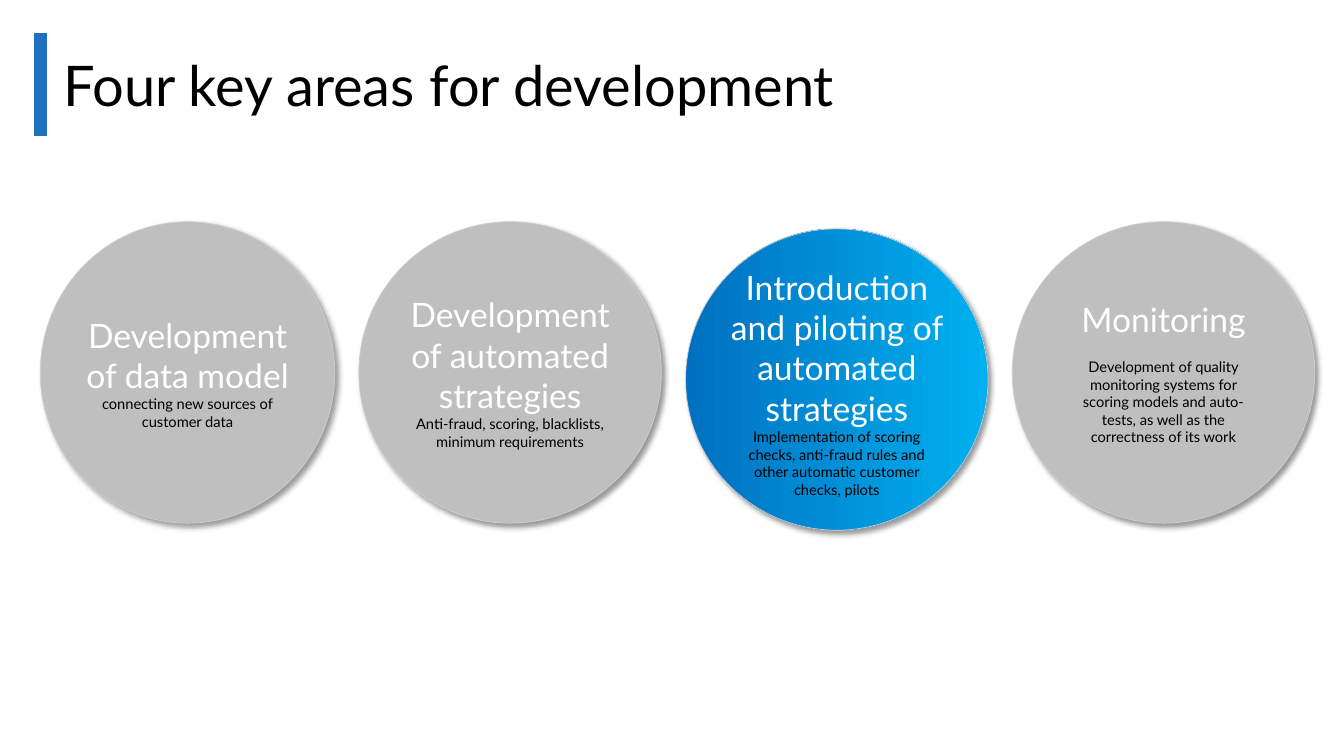
from lxml import etree
from pptx import Presentation
from pptx.dml.color import RGBColor
from pptx.enum.shapes import MSO_CONNECTOR, MSO_SHAPE
from pptx.enum.text import MSO_ANCHOR, PP_ALIGN
from pptx.oxml.ns import qn
from pptx.util import Inches, Pt

ELLIPSE = MSO_SHAPE.OVAL
STRAIGHT = MSO_CONNECTOR.STRAIGHT
MIDDLE = MSO_ANCHOR.MIDDLE
CENTER, LEFT = PP_ALIGN.CENTER, PP_ALIGN.LEFT

FONT = "Lato"
COLORS = {
    "black": "000000",
    "white": "FFFFFF",
    "accent": "2070C0",
    "circle": "BFBFBF",
    "outline": "D0CECE",
    "gradient_start": "0070C0",
    "gradient_end": "00B0F0",
}

# Grid of the four circles, in inches
GRID_LEFT, GRID_TOP = 0.32, 2.2
COLUMN_STEP = 3.24
CIRCLE_WIDTH, CIRCLE_HEIGHT = 3, 2.99

# Insets are left, top, right, bottom; trim narrows a circle from its left
AREAS = [
    {"heading": "Development of data model",
     "detail": "connecting new sources of customer data",
     "insets": (0, 0.05, 0, 0.05), "trim": 0.08},
    {"heading": "Development of automated strategies",
     "detail": "Anti-fraud, scoring, blacklists, minimum requirements",
     "insets": (0, 0.05, 0, 0.05)},
    {"heading": "Introduction and piloting of automated strategies",
     "detail": "Implementation of scoring checks, anti-fraud rules and "
               "other automatic customer checks, pilots",
     "insets": (0, 0.24, 0, 0.18), "drop": 0.07, "highlight": True},
    {"heading": "Monitoring",
     "detail": "Development of quality monitoring systems for scoring models "
               "and auto-tests, as well as the correctness of its work",
     "insets": (0.1, 0.05, 0.1, 0.05), "gap": 13.2},
]


def color(name):
    return RGBColor.from_string(COLORS[name])


def write(paragraph, text, size, ink="black", align=LEFT, gap=None):
    """Put one formatted run into a paragraph."""
    paragraph.alignment = align
    if gap:
        paragraph.space_before = Pt(gap)
    run = paragraph.add_run()
    run.text = text
    run.font.name = FONT
    run.font.size = Pt(size)
    run.font.color.rgb = color(ink)


def add_shadow(shape):
    """Give a shape a soft shadow towards the lower right."""
    shape.shadow.inherit = False
    effects = shape._element.spPr.find(qn("a:effectLst"))
    shadow = etree.SubElement(
        effects, qn("a:outerShdw"), blurRad=str(Pt(4)), dist=str(Pt(3)),
        dir=str(45 * 60000), algn="tl", rotWithShape="0")
    ink = etree.SubElement(shadow, qn("a:srgbClr"), val=COLORS["black"])
    etree.SubElement(ink, qn("a:alpha"), val="40000")


def add_title(slide, text):
    # Accent bar
    bar = slide.shapes.add_connector(
        STRAIGHT, Inches(0.4), Inches(0.33), Inches(0.4), Inches(1.35))
    bar.line.color.rgb = color("accent")
    bar.line.width = Pt(9.75)
    etree.SubElement(bar._element.spPr, qn("a:effectLst"))

    # Title text
    box = slide.shapes.add_textbox(
        Inches(0.53), Inches(0.45), Inches(9.88), Inches(0.77))
    box.text_frame.word_wrap = True
    write(box.text_frame.paragraphs[0], text, 40)


def add_area(slide, column, heading, detail, insets,
             trim=0, drop=0, gap=None, highlight=False):
    """Draw one circle with its heading and detail."""
    circle = slide.shapes.add_shape(
        ELLIPSE,
        Inches(GRID_LEFT + column * COLUMN_STEP + trim),
        Inches(GRID_TOP + drop),
        Inches(CIRCLE_WIDTH - trim), Inches(CIRCLE_HEIGHT))
    if highlight:
        circle.fill.gradient()
        circle.fill.gradient_angle = 0
        for stop, name, position in zip(circle.fill.gradient_stops,
                                        ("gradient_start", "gradient_end"),
                                        (0, 1)):
            stop.color.rgb = color(name)
            stop.position = position
    else:
        circle.fill.solid()
        circle.fill.fore_color.rgb = color("circle")
    circle.line.color.rgb = color("outline")
    circle.line.width = Pt(0.5)
    add_shadow(circle)

    # Text inside the circle
    frame = circle.text_frame
    frame.word_wrap = True
    frame.vertical_anchor = MIDDLE
    (frame.margin_left, frame.margin_top,
     frame.margin_right, frame.margin_bottom) = map(Inches, insets)
    write(frame.paragraphs[0], heading, 24, ink="white", align=CENTER)
    write(frame.add_paragraph(), detail, 10.5, align=CENTER, gap=gap)


def main():
    presentation = Presentation()
    presentation.slide_width = Inches(13.33)
    presentation.slide_height = Inches(7.5)
    slide = presentation.slides.add_slide(presentation.slide_layouts[6])

    add_title(slide, "Four key areas for development")
    for column, area in enumerate(AREAS):
        add_area(slide, column, **area)

    presentation.save("out.pptx")


if __name__ == "__main__":
    main()
